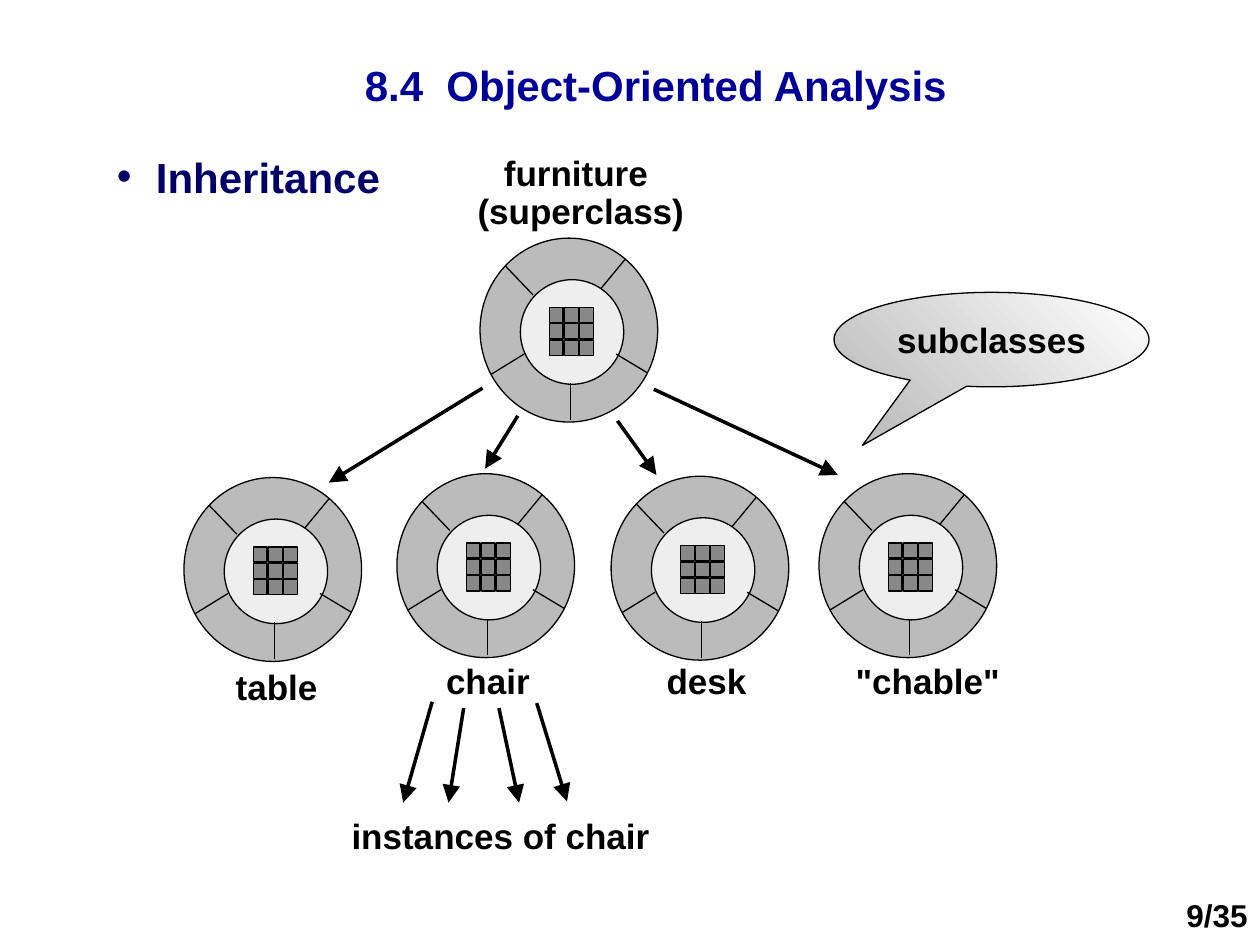
from itertools import product

from pptx import Presentation
from pptx.dml.color import RGBColor
from pptx.enum.shapes import MSO_CONNECTOR, MSO_SHAPE
from pptx.enum.text import MSO_ANCHOR, PP_ALIGN
from pptx.oxml.ns import qn
from pptx.util import Inches, Pt
from lxml import etree

TITLE_BLUE = RGBColor(0x00, 0x00, 0x99)
BULLET_BLUE = RGBColor(0x00, 0x00, 0x66)
BLACK = RGBColor(0x00, 0x00, 0x00)
WHITE = RGBColor(0xFF, 0xFF, 0xFF)
RING_GRAY = RGBColor(0xBB, 0xBB, 0xBB)
CORE_GRAY = RGBColor(0xEE, 0xEE, 0xEE)
CELL_GRAY = RGBColor(0x88, 0x88, 0x88)
CALLOUT_GRAY = RGBColor(0xC0, 0xC0, 0xC0)

RING_W, RING_H = 1.41, 1.46
# Ring dividers, relative to the top left corner of the ring
SPOKES = [
    (0.2, 0.22, 0.42, 0.45),
    (1.15, 0.17, 0.96, 0.4),
    (1.33, 1.07, 1.08, 0.92),
    (0.72, 1.44, 0.72, 1.15),
    (0.09, 1.08, 0.35, 0.92),
]
# Ring corner, label and label box of each subclass
SUBCLASSES = [
    (1.46, 3.79, "table", (1.87, 5.32, 0.65, 0.3)),
    (3.15, 3.76, "chair", (3.54, 5.27, 0.67, 0.3)),
    (4.85, 3.78, "desk", (5.29, 5.27, 0.64, 0.3)),
    (6.5, 3.76, '"chable"', (6.79, 5.27, 1.15, 0.3)),
]
SUBCLASS_ARROWS = [
    (3.83, 3.08, 2.61, 3.83),
    (4.11, 3.3, 3.85, 3.72),
    (4.9, 3.34, 5.21, 3.77),
    (5.19, 3.09, 6.65, 3.77),
]
INSTANCE_ARROWS = [
    (3.43, 5.57, 3.2, 6.37),
    (3.68, 5.62, 3.56, 6.37),
    (3.96, 5.62, 4.12, 6.37),
    (4.26, 5.58, 4.5, 6.36),
]


def add_run(p, text, size, color):
    r = p.add_run()
    r.text = text
    r.font.name = "Arial"
    r.font.size = Pt(size)
    r.font.bold = True
    r.font.color.rgb = color


def add_text(slide, box, text, size=20, color=BLACK, align=PP_ALIGN.LEFT):
    tb = slide.shapes.add_textbox(*map(Inches, box))
    tf = tb.text_frame
    tf.word_wrap = True
    p = tf.paragraphs[0]
    p.alignment = align
    add_run(p, text, size, color)
    return tf


def add_label(slide, box, lines, align=PP_ALIGN.LEFT):
    """Add a tight, unwrapped label with one paragraph per line."""
    tf = add_text(slide, box, lines[0], align=align)
    tf.word_wrap = False
    tf.margin_left = tf.margin_right = tf.margin_top = tf.margin_bottom = 0
    for line in lines[1:]:
        p = tf.add_paragraph()
        p.alignment = align
        add_run(p, line, 20, BLACK)
    for p in tf.paragraphs:
        p.line_spacing = 0.9


def add_outlined(slide, kind, box, fill=None):
    sp = slide.shapes.add_shape(kind, *map(Inches, box))
    sp.shadow.inherit = False
    sp.line.color.rgb = BLACK
    sp.line.width = Pt(0.75)
    if fill is not None:
        sp.fill.solid()
        sp.fill.fore_color.rgb = fill
    return sp


def add_line(slide, ends, width=0.75, arrow=False):
    line = slide.shapes.add_connector(MSO_CONNECTOR.STRAIGHT, *map(Inches, ends))
    line.line.color.rgb = BLACK
    line.line.width = Pt(width)
    if arrow:
        etree.SubElement(line.line._get_or_add_ln(), qn("a:tailEnd"),
                         type="triangle", w="lg", len="lg")
    etree.SubElement(line._element.spPr, qn("a:effectLst"))


def add_arrows(slide, arrows):
    for ends in arrows:
        add_line(slide, ends, width=2, arrow=True)


def add_class_ring(slide, x, y):
    """Draw a class: a divided ring around a core with a 3 by 3 grid."""
    add_outlined(slide, MSO_SHAPE.OVAL, (x, y, RING_W, RING_H), RING_GRAY)
    add_outlined(slide, MSO_SHAPE.OVAL, (x + 0.32, y + 0.33, 0.82, 0.83), CORE_GRAY)
    for row, col in product(range(3), repeat=2):
        cell = (x + 0.55 + 0.12 * col, y + 0.55 + 0.13 * row, 0.11, 0.12)
        add_outlined(slide, MSO_SHAPE.RECTANGLE, cell, CELL_GRAY)
    for x1, y1, x2, y2 in SPOKES:
        add_line(slide, (x + x1, y + y1, x + x2, y + y2))


def add_heading(slide, title_box, bullet_box):
    tf = add_text(slide, title_box, "8.4  Object-Oriented Analysis", 24,
                  TITLE_BLUE, PP_ALIGN.CENTER)
    tf.vertical_anchor = MSO_ANCHOR.MIDDLE

    tf = add_text(slide, bullet_box, "Inheritance", 24, BULLET_BLUE)
    pPr = tf.paragraphs[0]._p.get_or_add_pPr()
    pPr.set("marL", str(Inches(0.31)))
    pPr.set("indent", str(-Inches(0.31)))
    etree.SubElement(pPr, qn("a:buFont"), typeface="Arial")
    etree.SubElement(pPr, qn("a:buChar"), char="•")


def add_callout(slide, box, text):
    sp = add_outlined(slide, MSO_SHAPE.OVAL_CALLOUT, box)
    sp.adjustments[0] = -0.41
    sp.adjustments[1] = 1.12
    sp.fill.gradient()
    sp.fill.gradient_angle = 45
    for stop, color in zip(sp.fill.gradient_stops, (CALLOUT_GRAY, WHITE)):
        stop.color.rgb = color
    tf = sp.text_frame
    tf.vertical_anchor = MSO_ANCHOR.MIDDLE
    p = tf.paragraphs[0]
    p.alignment = PP_ALIGN.CENTER
    add_run(p, text, 20, BLACK)


def add_class_tree(slide):
    for x, y, name, label_box in SUBCLASSES:
        add_class_ring(slide, x, y)
        add_label(slide, label_box, [name])
    add_arrows(slide, SUBCLASS_ARROWS)
    add_arrows(slide, INSTANCE_ARROWS)
    add_label(slide, (2.79, 6.5, 2.37, 0.3), ["instances of chair"])
    add_class_ring(slide, 3.81, 1.89)
    add_label(slide, (3.79, 1.24, 1.64, 0.6), ["furniture ", "(superclass)"],
              PP_ALIGN.CENTER)


def main():
    prs = Presentation()
    prs.slide_width, prs.slide_height = Inches(10), Inches(7.5)
    slide = prs.slides.add_slide(prs.slide_layouts[6])
    add_heading(slide, (1.06, 0.21, 8.29, 0.93), (0.83, 1.15, 2.44, 0.5))
    add_class_tree(slide)
    add_callout(slide, (6.62, 2.32, 2.5, 0.75), "subclasses")
    add_text(slide, (9.1, 7.06, 0.9, 0.4), "9/35", 18, align=PP_ALIGN.RIGHT)
    prs.save("out.pptx")


if __name__ == "__main__":
    main()
